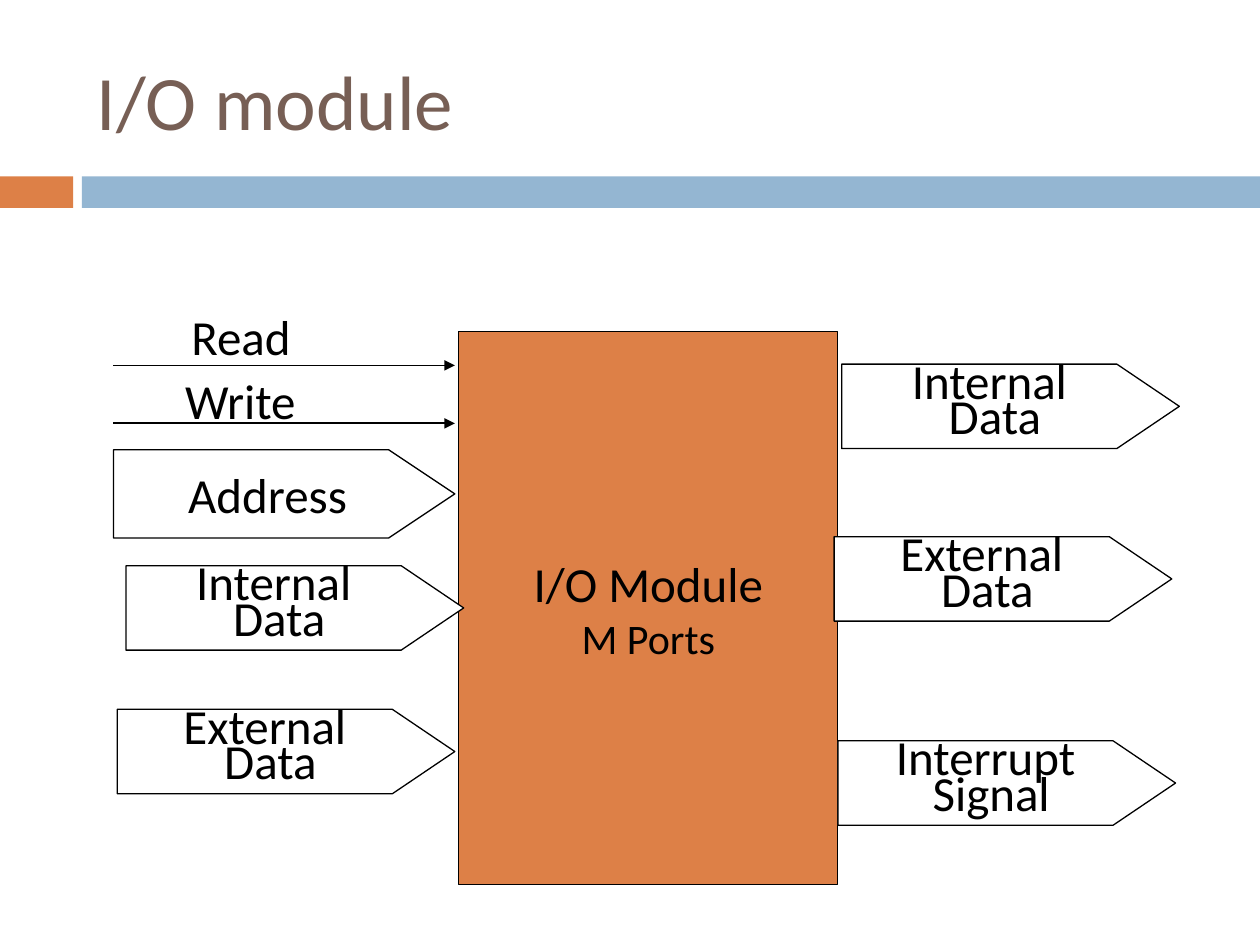
import pptx
import pptx.util
import pptx.dml.color
import pptx.enum.shapes
import pptx.enum.text
import pptx.oxml.ns
from lxml import etree

Inches = pptx.util.Inches
Pt = pptx.util.Pt
RGBColor = pptx.dml.color.RGBColor
Shape = pptx.enum.shapes.MSO_SHAPE
Align = pptx.enum.text.PP_ALIGN
Anchor = pptx.enum.text.MSO_ANCHOR
qn = pptx.oxml.ns.qn

ORANGE = RGBColor(0xDD, 0x80, 0x47)
BLUE = RGBColor(0x94, 0xB6, 0xD2)
BROWN = RGBColor(0x77, 0x5F, 0x55)
BLACK = RGBColor(0, 0, 0)
WHITE = RGBColor(255, 255, 255)

INPUTS = [("Internal \nData", 1, 4.49), ("External \nData", 0.93, 5.63)]
OUTPUTS = [("Internal \nData", 6.68, 2.89), ("External \nData", 6.62, 4.26),
           ("Interrupt \nSignal", 6.65, 5.88)]
SIGNALS = [("Read", 1.42, 2.38, 1.32, 2.9), ("Write", 1.37, 2.89, 1.42, 3.36)]


def write(par, text, size, color=BLACK, align=Align.CENTER):
    par.text = text
    par.alignment = align
    for run in par.runs:
        run.font.name = "Calibri"
        run.font.size = Pt(size)
        run.font.color.rgb = color


def add_label(slide, text, box, size, color=BLACK, wrap=False, anchor=Anchor.TOP):
    frame = slide.shapes.add_textbox(*map(Inches, box)).text_frame
    frame.word_wrap = wrap
    frame.vertical_anchor = anchor
    write(frame.paragraphs[0], text, size, color, Align.LEFT)


def add_block(slide, kind, box, fill, line=None):
    block = slide.shapes.add_shape(kind, *map(Inches, box))
    block.shadow.inherit = False
    block.fill.solid()
    block.fill.fore_color.rgb = fill
    if line is None:
        block.line.fill.background()
    else:
        block.line.color.rgb = line
        block.line.width = Pt(0.75)
    block.text_frame.word_wrap = False
    block.text_frame.vertical_anchor = Anchor.MIDDLE
    return block


def add_tag(slide, text, left, top, width=2.68, height=0.67, point=0.74, space=0.6):
    """Add a labelled pentagon that points right."""
    tag = add_block(slide, Shape.PENTAGON, (left, top, width, height), WHITE, BLACK)
    tag.adjustments[0] = point
    par = tag.text_frame.paragraphs[0]
    write(par, text, 28)
    par.line_spacing = space


def add_arrow(slide, left, right, y):
    arrow = slide.shapes.add_connector(
        pptx.enum.shapes.MSO_CONNECTOR.STRAIGHT,
        Inches(left), Inches(y), Inches(right), Inches(y))
    arrow.line.color.rgb = BLACK
    arrow.line.width = Pt(1)
    etree.SubElement(arrow.line._get_or_add_ln(), qn("a:tailEnd"), type="triangle")
    etree.SubElement(arrow._element.spPr, qn("a:effectLst"))


def add_module(slide):
    block = add_block(slide, Shape.RECTANGLE, (3.64, 2.63, 3.01, 4.39), ORANGE, BLACK)
    frame = block.text_frame
    write(frame.paragraphs[0], "I/O Module", 28)
    write(frame.add_paragraph(), "M Ports", 24)


def main():
    deck = pptx.Presentation()
    deck.slide_width, deck.slide_height = Inches(10), Inches(7.5)
    slide = deck.slides.add_slide(deck.slide_layouts[6])

    add_block(slide, Shape.RECTANGLE, (0, 1.4, 0.58, 0.25), ORANGE)
    add_block(slide, Shape.RECTANGLE, (0.65, 1.4, 9.35, 0.25), BLUE)
    add_label(slide, "I/O module", (0.67, 0.25, 8.92, 1.08), 44, BROWN,
              wrap=True, anchor=Anchor.MIDDLE)

    add_module(slide)
    for text, left, top, width, y in SIGNALS:
        add_arrow(slide, 0.9, 3.61, y)
        add_label(slide, text, (left, top, width, 0.77), 28)
    add_tag(slide, "Address", 0.9, 3.57, 2.71, 0.7, 0.75, 1)
    for text, left, top in INPUTS + OUTPUTS:
        add_tag(slide, text, left, top)

    deck.save("out.pptx")


if __name__ == "__main__":
    main()
